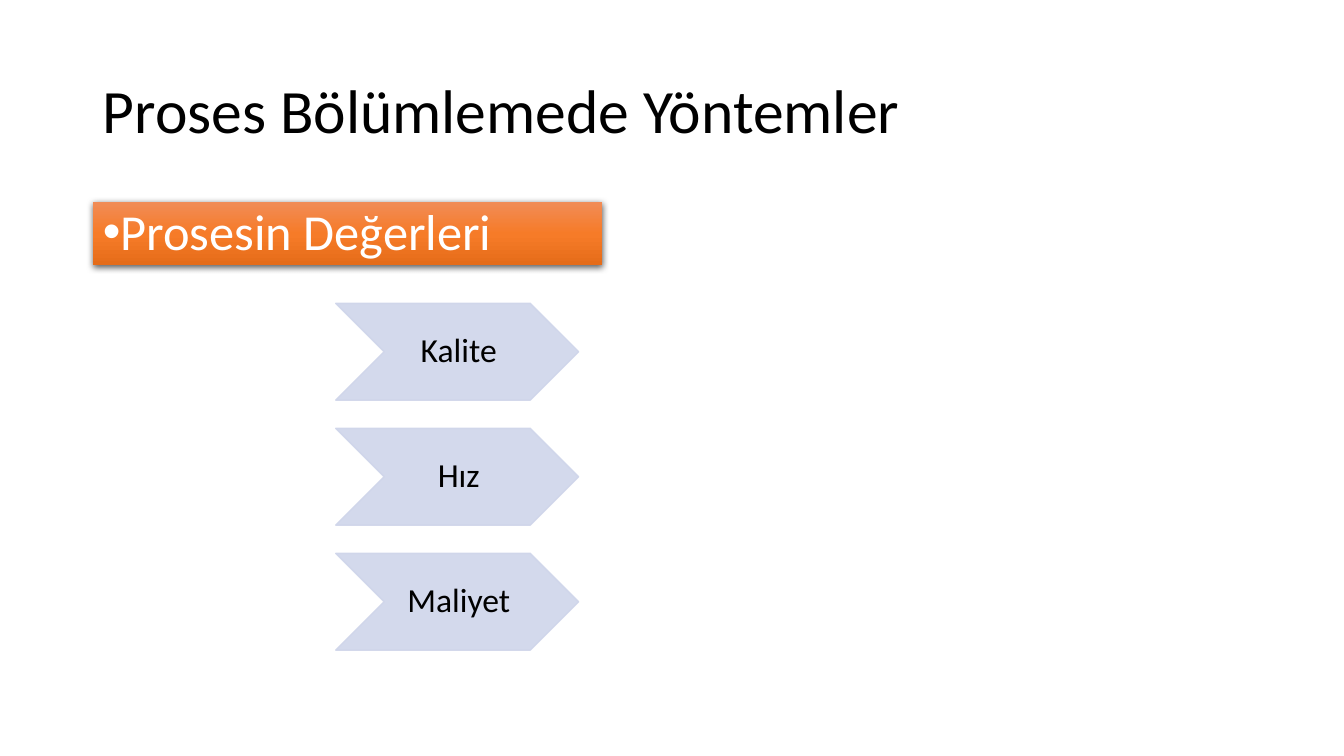
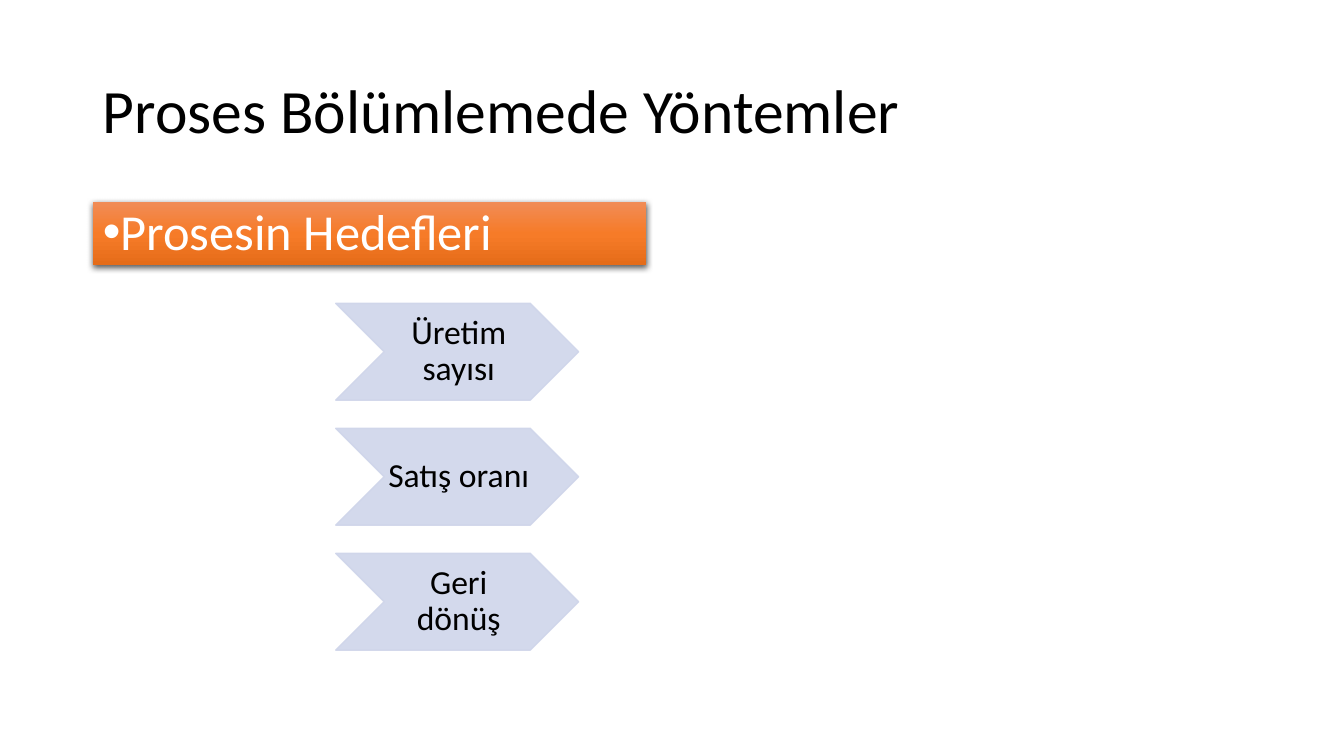
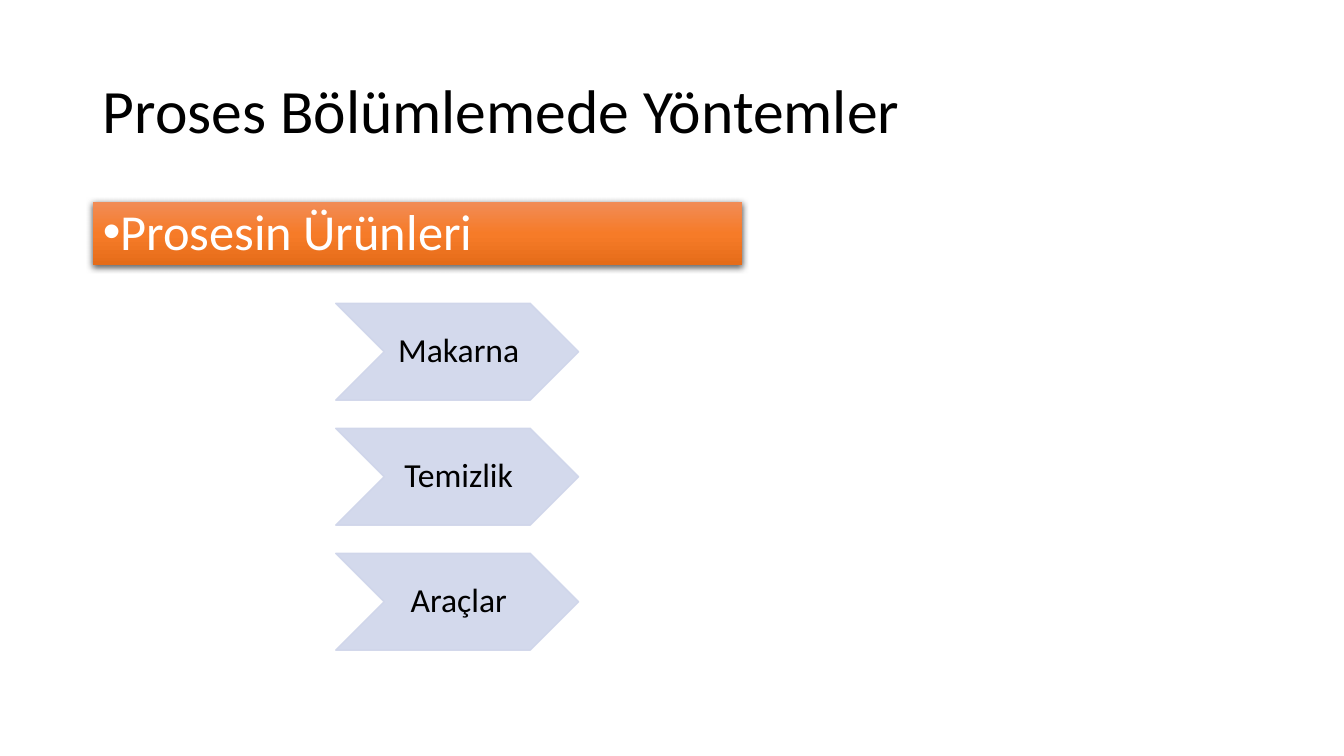
from pptx import Presentation
from pptx import util as u
from pptx.dml.color import RGBColor
from pptx.enum import shapes, text
from pptx.oxml import parse_xml
from pptx.oxml.ns import nsdecls, qn
from lxml import etree

# Shared look
PX = 9144  # EMU per px, 100 px to the inch
FONT = "Calibri"
BLACK, WHITE, PALE_BLUE = "000000", "FFFFFF", "CFD5EA"
ORANGE_STOPS = [(0, "F18C57"), (50, "F67B28"), (100, "E56C19")]
LEFT = 92
CHEVRON_LEFT, CHEVRON_TOP, CHEVRON_PITCH = 333, 301, 124
CHEVRON_WIDTH, CHEVRON_HEIGHT = 241, 96

TITLE = "Proses Bölümlemede Yöntemler"
# Heading, width of its band, chevron labels
TOPICS = [
    ("Prosesin Değerleri", 505, ["Kalite", "Hız", "Maliyet"]),
    ("Prosesin Hedefleri", 549, ["Üretim sayısı", "Satış oranı", "Geri dönüş"]),
    ("Prosesin Ürünleri", 644, ["Makarna", "Temizlik", "Araçlar"]),
]


def px(length):
    return u.Emu(length * PX)


def rgb(value):
    return RGBColor.from_string(value)


def place(shape, left, top, width, height):
    shape.left, shape.top = px(left), px(top)
    shape.width, shape.height = px(width), px(height)


def style(paragraph, size, color, align=text.PP_ALIGN.LEFT):
    paragraph.alignment = align
    paragraph.line_spacing = 0.9
    paragraph.space_before = u.Pt(0)
    paragraph.font.name = FONT
    paragraph.font.size = u.Pt(size)
    paragraph.font.color.rgb = rgb(color)


def set_alpha(fill_parent, percent):
    for color in fill_parent.iter(qn("a:srgbClr")):
        etree.SubElement(color, qn("a:alpha"), val=str(percent * 1000))


def add_title(slide):
    title = slide.shapes.title
    place(title, LEFT, 40, 1150, 145)
    frame = title.text_frame
    frame.text = TITLE
    frame.auto_size = text.MSO_AUTO_SIZE.NONE
    frame.vertical_anchor = text.MSO_ANCHOR.MIDDLE
    style(frame.paragraphs[0], 44, BLACK)


def add_heading(slide, heading, width):
    band = slide.placeholders[1]
    place(band, LEFT, 200, width, 65)

    # Orange gradient and soft shadow
    stops = "".join(
        f'<a:gs pos="{pos * 1000}"><a:srgbClr val="{color}"/></a:gs>'
        for pos, color in ORANGE_STOPS)
    properties = band.element.spPr
    properties.append(parse_xml(
        f'<a:gradFill {nsdecls("a")} rotWithShape="1"><a:gsLst>{stops}</a:gsLst>'
        '<a:lin ang="5400000" scaled="0"/></a:gradFill>'))
    properties.append(parse_xml(
        f'<a:effectLst {nsdecls("a")}><a:outerShdw blurRad="57150" dist="19050" '
        f'dir="5400000" algn="ctr" rotWithShape="0"><a:srgbClr val="{BLACK}">'
        '<a:alpha val="63000"/></a:srgbClr></a:outerShdw></a:effectLst>'))

    # Bulleted heading
    frame = band.text_frame
    frame.text = heading
    frame.auto_size = text.MSO_AUTO_SIZE.SHAPE_TO_FIT_TEXT
    paragraph = frame.paragraphs[0]
    layout = paragraph._p.get_or_add_pPr()
    layout.set("marL", "0")
    layout.set("indent", str(-25 * PX))
    etree.SubElement(layout, qn("a:buFont"), typeface="Arial")
    etree.SubElement(layout, qn("a:buChar"), char="•")
    style(paragraph, 36, WHITE)


def add_chevron(slide, row, label):
    chevron = slide.shapes.add_shape(
        shapes.MSO_SHAPE.CHEVRON, px(CHEVRON_LEFT),
        px(CHEVRON_TOP + row * CHEVRON_PITCH),
        px(CHEVRON_WIDTH), px(CHEVRON_HEIGHT))
    chevron.shadow.inherit = False
    chevron.fill.solid()
    chevron.fill.fore_color.rgb = rgb(PALE_BLUE)
    chevron.line.color.rgb = rgb(PALE_BLUE)
    chevron.line.width = u.Pt(1)
    set_alpha(chevron.element.spPr, 90)

    frame = chevron.text_frame
    frame.text = label
    frame.word_wrap = True
    frame.vertical_anchor = text.MSO_ANCHOR.MIDDLE
    frame.margin_left, frame.margin_right = px(3), px(0)
    frame.margin_top = frame.margin_bottom = px(2)
    style(frame.paragraphs[0], 24, BLACK, text.PP_ALIGN.CENTER)


def main():
    deck = Presentation()
    deck.slide_width, deck.slide_height = px(1333), px(750)
    for heading, width, labels in TOPICS:
        slide = deck.slides.add_slide(deck.slide_layouts[1])
        add_title(slide)
        add_heading(slide, heading, width)
        for row, label in enumerate(labels):
            add_chevron(slide, row, label)
    deck.save("out.pptx")


if __name__ == "__main__":
    main()
